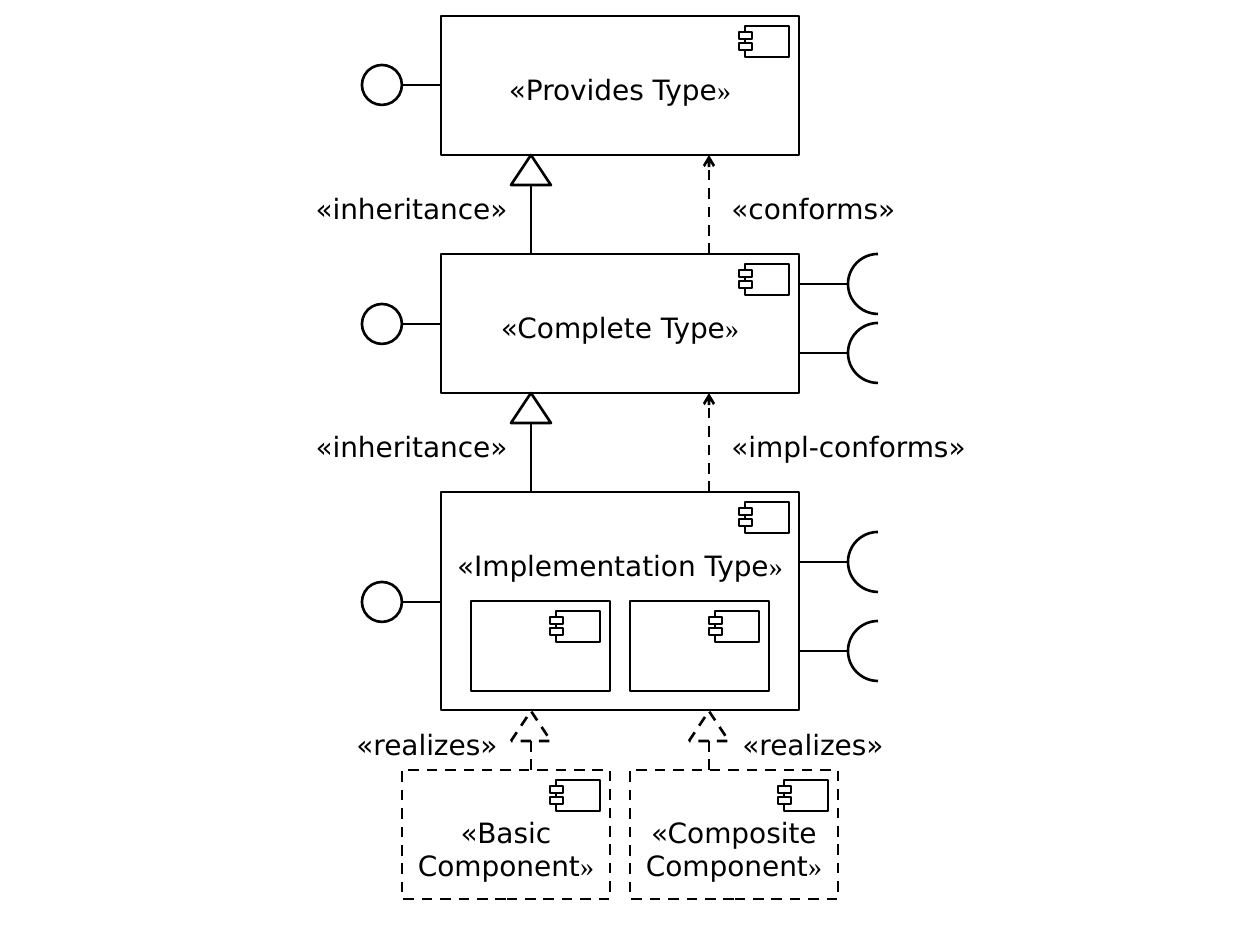
from lxml import etree
from pptx import Presentation
from pptx.dml.color import RGBColor
from pptx.enum.dml import MSO_LINE
from pptx.enum.shapes import MSO_CONNECTOR, MSO_SHAPE
from pptx.enum.text import PP_ALIGN
from pptx.oxml.ns import qn
from pptx.util import Pt

RECT, OVAL = MSO_SHAPE.RECTANGLE, MSO_SHAPE.OVAL
ARC, TRIANGLE = MSO_SHAPE.ARC, MSO_SHAPE.ISOSCELES_TRIANGLE
STRAIGHT = MSO_CONNECTOR.STRAIGHT
SOLID, DASH = MSO_LINE.SOLID, MSO_LINE.DASH
LEFT, CENTER, RIGHT = PP_ALIGN.LEFT, PP_ALIGN.CENTER, PP_ALIGN.RIGHT
PX = 914400 / 126
INK = RGBColor.from_string("000000")
PAPER = RGBColor.from_string("FFFFFF")

prs = Presentation()
prs.slide_width, prs.slide_height = round(1260 * PX), round(945 * PX)
slide = prs.slides.add_slide(prs.slide_layouts[6])


def outline(kind, x, y, w, h, dash=SOLID, fill=None):
    shape = slide.shapes.add_shape(kind, *(round(v * PX) for v in (x, y, w, h)))
    shape.shadow.inherit = False
    if fill is None:
        shape.fill.background()
    else:
        shape.fill.solid()
        shape.fill.fore_color.rgb = fill
    shape.line.color.rgb = INK
    for name, value in {"width": Pt(1.5), "dash_style": dash}.items():
        setattr(shape.line, name, value)
    return shape


def link(x1, y1, x2, y2, dash=SOLID, arrow=False):
    line = slide.shapes.add_connector(STRAIGHT, *(round(v * PX) for v in (x1, y1, x2, y2)))
    line.line.color.rgb = INK
    for name, value in {"width": Pt(1.5), "dash_style": dash}.items():
        setattr(line.line, name, value)
    properties = line._element.spPr
    if arrow:
        etree.SubElement(properties.find(qn("a:ln")), qn("a:tailEnd"), type="arrow")
    etree.SubElement(properties, qn("a:effectLst"))


components = [
    (441, 16, 358, 139, SOLID),
    (441, 254, 358, 139, SOLID),
    (441, 492, 358, 218, SOLID),
    (471, 601, 139, 90, SOLID),
    (630, 601, 139, 90, SOLID),
    (402, 770, 208, 129, DASH),
    (630, 770, 208, 129, DASH),
]
for x, y, w, h, dash in components:
    outline(RECT, x, y, w, h, dash)
    outline(RECT, x + w - 54, y + 10, 44, 31, fill=PAPER)
    for tab_y in (y + 16, y + 27):
        outline(RECT, x + w - 60, tab_y, 13, 7, fill=PAPER)

for provided_y in (85, 324, 602):
    outline(OVAL, 362, provided_y - 20, 40, 40)
    link(402, provided_y, 441, provided_y)

for required_y in (284, 353, 562, 651):
    link(799, required_y, 848, required_y)
    socket = outline(ARC, 848, required_y - 30, 60, 60)
    socket.adjustments[0], socket.adjustments[1] = 54, 162

generalizations = [
    (531, 155, 254, SOLID),
    (531, 393, 492, SOLID),
    (531, 711, 770, DASH),
    (709, 711, 770, DASH),
]
for x, parent_y, child_y, dash in generalizations:
    link(x, child_y, x, parent_y + 30, dash)
    outline(TRIANGLE, x - 20, parent_y, 40, 30, dash)

for parent_y in (155, 393):
    link(709, parent_y + 99, 709, parent_y, DASH, arrow=True)

captions = [
    ("«Provides Type", "»", 441, 66, 358, 47, CENTER),
    ("«Complete Type", "»", 441, 304, 358, 47, CENTER),
    ("«Implementation Type", "»", 441, 542, 358, 47, CENTER),
    ("«Basic\nComponent", "»", 402, 809, 208, 81, CENTER),
    ("«Composite\nComponent", "»", 630, 809, 208, 81, CENTER),
    ("«inheritance»", "", 223, 185, 297, 49, RIGHT),
    ("«conforms»", "", 719, 185, 297, 49, LEFT),
    ("«inheritance»", "", 223, 423, 297, 49, RIGHT),
    ("«impl-conforms»", "", 719, 423, 297, 49, LEFT),
    ("«realizes»", "", 213, 721, 297, 49, RIGHT),
    ("«realizes»", "", 730, 721, 297, 49, LEFT),
]
for words, closing, x, y, w, h, align in captions:
    caption = slide.shapes.add_textbox(*(round(v * PX) for v in (x, y, w, h)))
    side = 0 if align == CENTER else Pt(7.2)
    frame_format = {"word_wrap": True, "margin_left": side, "margin_right": side}
    for name, value in frame_format.items():
        setattr(caption.text_frame, name, value)
    paragraph = caption.text_frame.paragraphs[0]
    paragraph_format = {
        "text": words,
        "alignment": align,
        "space_before": Pt(10 if align == CENTER else 4),
    }
    for name, value in paragraph_format.items():
        setattr(paragraph, name, value)
    if closing:
        paragraph.add_run().text = closing
    for run in paragraph.runs:
        typeface = "Times New Roman" if run.text == "»" else "DejaVu Sans"
        for name, value in {"size": Pt(16), "name": typeface}.items():
            setattr(run.font, name, value)
        run.font.color.rgb = INK

prs.save("out.pptx")
